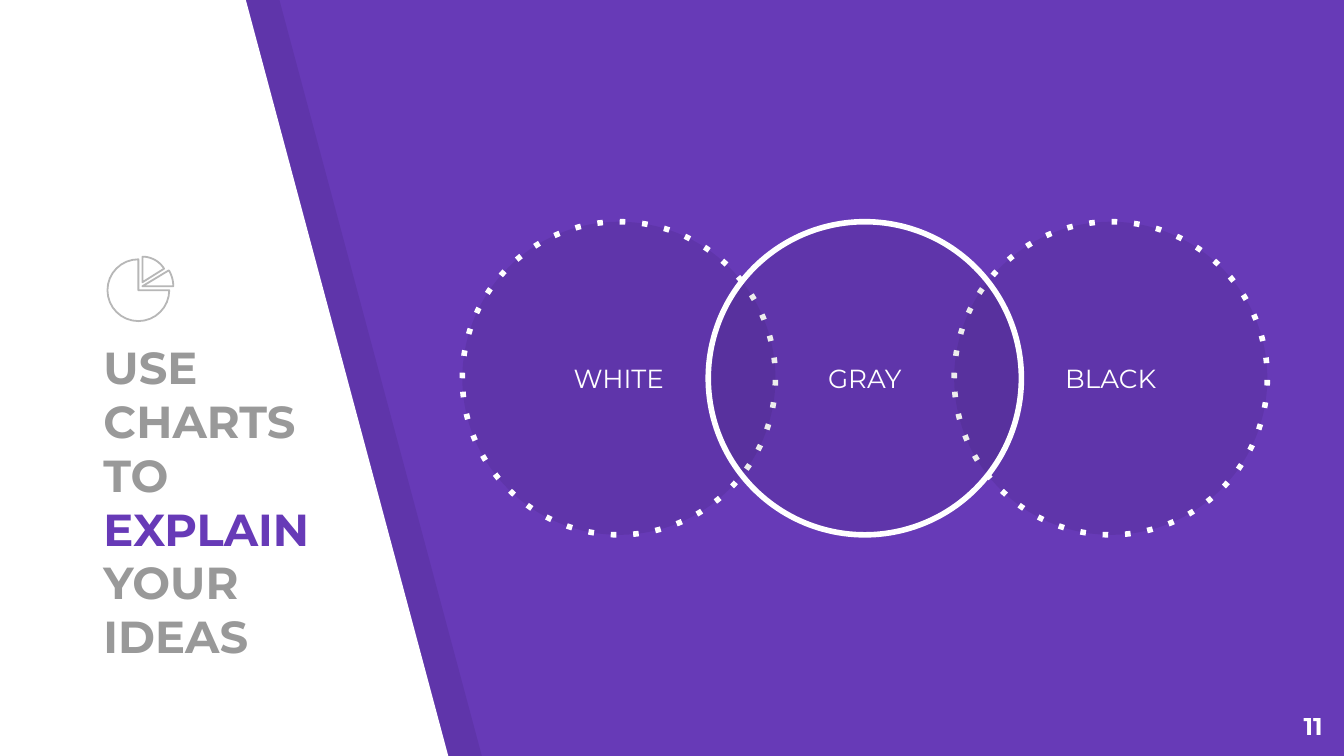
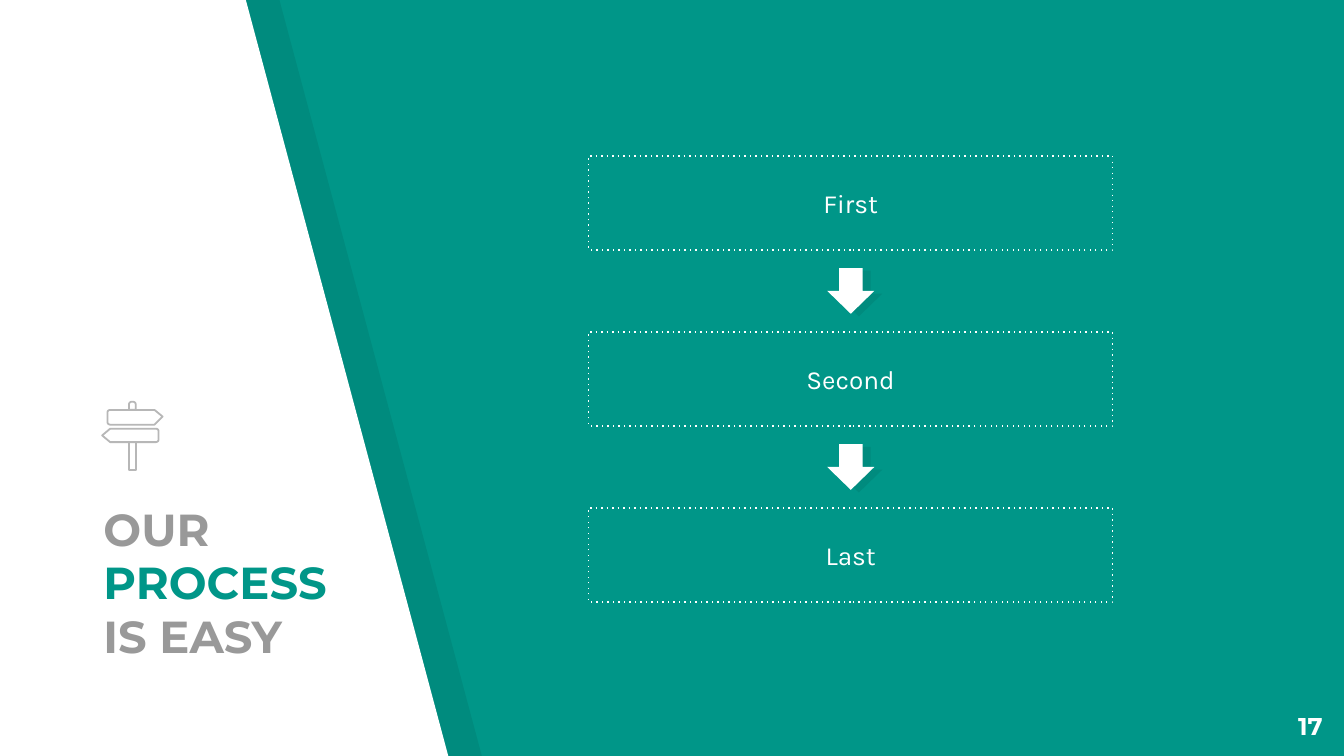
from math import cos, radians, sin

from lxml.etree import SubElement
from pptx import Presentation
from pptx.dml.color import RGBColor
from pptx.enum.shapes import MSO_SHAPE as SHAPE
from pptx.enum.text import MSO_ANCHOR as ANCHOR, MSO_AUTO_SIZE as AUTO, PP_ALIGN as ALIGN
from pptx.oxml.ns import qn
from pptx.util import Inches, Pt

WHITE, BLACK, GRAY, ICON = "FFFFFF", "000000", "999999", "B7B7B7"
PURPLE, TEAL = "673AB7", "009688"
SHADE = 7  # opacity of the dark overlays, percent


def paint(shape, fill=None, alpha=None, line=None, width=1, dash=None):
    """Set fill and outline; None means no fill or no line."""
    shape.shadow.inherit = False
    if fill:
        shape.fill.solid()
        shape.fill.fore_color.rgb = RGBColor.from_string(fill)
    else:
        shape.fill.background()
    if alpha:
        clr = shape.element.spPr.xpath("a:solidFill/a:srgbClr")[0]
        SubElement(clr, qn("a:alpha"), val=str(alpha * 1000))
    if line:
        shape.line.color.rgb = RGBColor.from_string(line)
        shape.line.width = Pt(width)
    else:
        shape.line.fill.background()
    if dash:
        ln = shape.element.spPr.xpath("a:ln")[0]
        SubElement(ln, qn("a:prstDash"), val=dash)


def write(shape, text, size=14, font="Montserrat", color=WHITE, bold=False,
          align=ALIGN.CENTER, anchor=ANCHOR.MIDDLE, accent=None):
    """Fill a shape with one paragraph; *starred* words take the accent colour."""
    tf = shape.text_frame
    tf.word_wrap = True
    tf.auto_size = AUTO.NONE
    tf.vertical_anchor = anchor
    tf.margin_left = tf.margin_right = tf.margin_top = tf.margin_bottom = Inches(0.1)
    p = tf.paragraphs[0]
    p.alignment = align
    for i, part in enumerate(text.split("*")):
        r = p.add_run()
        r.text = part
        r.font.name = font
        r.font.size = Pt(size)
        r.font.bold = bold
        r.font.color.rgb = RGBColor.from_string(accent if i % 2 else color)


prs = Presentation()
prs.slide_width = Inches(10)
prs.slide_height = prs.slide_width * 9 // 16

# Icon outlines: points (x, y) and arcs (centre x, centre y, radius, start, end)
pie_icon = [
    [(1.03, 2.16), (1.03, 2.16, 0.23, 0, 270)],
    [(1.06, 2.1), (1.06, 2.1, 0.19, -90, -32)],
    [(1.06, 2.13), (1.06, 2.13, 0.23, -31, 0)],
]
signpost_icon = [
    [(0.82, 3.14, 0.02, 90, 180), (0.82, 3.07, 0.02, 180, 270),
     (1.15, 3.05), (1.21, 3.1), (1.15, 3.16)],
    [(1.16, 3.21, 0.02, -90, 0), (1.16, 3.27, 0.02, 0, 90),
     (0.82, 3.29), (0.76, 3.24), (0.82, 3.19)],
    [(0.98, 3.01, 0.02, 180, 270), (0.99, 3.01, 0.02, 270, 360),
     (1.01, 3.05), (0.96, 3.05)],
    [(0.96, 3.29), (0.96, 3.5), (1.01, 3.5), (1.01, 3.29)],
]

# Shared frame: background, slanted bands, title, icon, page number
slides = []
for title, title_width, theme, icon, number in [
    ("USE CHARTS TO *EXPLAIN* YOUR IDEAS", 1.76, PURPLE, pie_icon, "11"),
    ("OUR *PROCESS* IS EASY", 1.88, TEAL, signpost_icon, "17"),
]:
    s = prs.slides.add_slide(prs.slide_layouts[5])
    slides.append(s)
    s.background.fill.solid()
    s.background.fill.fore_color.rgb = RGBColor.from_string(theme)

    for left, fill, alpha in [(0.23, BLACK, SHADE), (-0.02, WHITE, None)]:
        fb = s.shapes.build_freeform(Inches(left), Inches(-0.01))
        fb.add_line_segments([(Inches(left + x), Inches(y))
                              for x, y in [(0, 5.64), (3.36, 5.64), (1.85, 0)]])
        paint(fb.convert_to_shape(), fill, alpha)

    sp = s.shapes.title
    sp.left, sp.top = Inches(0.67), Inches(4.5)
    sp.width, sp.height = Inches(title_width), Inches(0.53)
    write(sp, title, size=24, color=GRAY, bold=True, align=ALIGN.LEFT,
          anchor=ANCHOR.BOTTOM, accent=theme)
    s.shapes.element.append(sp.element)  # bring the title in front of the bands

    for outline in icon:
        points = []
        for x, y, *arc in outline:
            if arc:
                radius, start, end = arc
                angles = [radians(start + (end - start) * i / 24) for i in range(25)]
                points += [(x + radius * cos(a), y + radius * sin(a)) for a in angles]
            else:
                points.append((x, y))
        points = [(Inches(x), Inches(y)) for x, y in points]
        fb = s.shapes.build_freeform(*points[0])
        fb.add_line_segments(points[1:])
        paint(fb.convert_to_shape(), line=ICON, width=0.96)

    box = s.shapes.add_textbox(Inches(9.34), Inches(5.19), Inches(0.6), Inches(0.43))
    write(box, number, size=13, bold=True, align=ALIGN.RIGHT, anchor=ANCHOR.TOP)

chart_slide, process_slide = slides

# Overlapping circles, the solid one in front
for label, left, dash in [("WHITE", 3.44, "dot"), ("BLACK", 7.1, "dot"), ("GRAY", 5.27, None)]:
    circle = chart_slide.shapes.add_shape(
        SHAPE.OVAL, Inches(left), Inches(1.65), Inches(2.33), Inches(2.33))
    paint(circle, BLACK, SHADE, line=WHITE, width=3, dash=dash)
    write(circle, label)

# Process steps with an arrow between each pair
steps = ["First", "Second", "Last"]
for i, step in enumerate(steps):
    top = 1.16 + 1.31 * i
    box = process_slide.shapes.add_shape(
        SHAPE.RECTANGLE, Inches(4.38), Inches(top), Inches(3.9), Inches(0.7))
    paint(box, line=WHITE, width=0.75, dash="dot")
    write(box, step, font="Karla")
    if i < len(steps) - 1:
        for x, dy, fill, alpha in [(6.22, 0.85, BLACK, SHADE), (6.16, 0.83, WHITE, None)]:
            arrow = process_slide.shapes.add_shape(
                SHAPE.RIGHT_ARROW, Inches(x), Inches(top + dy), Inches(0.34), Inches(0.35))
            arrow.rotation = 90
            paint(arrow, fill, alpha)

prs.save("out.pptx")
